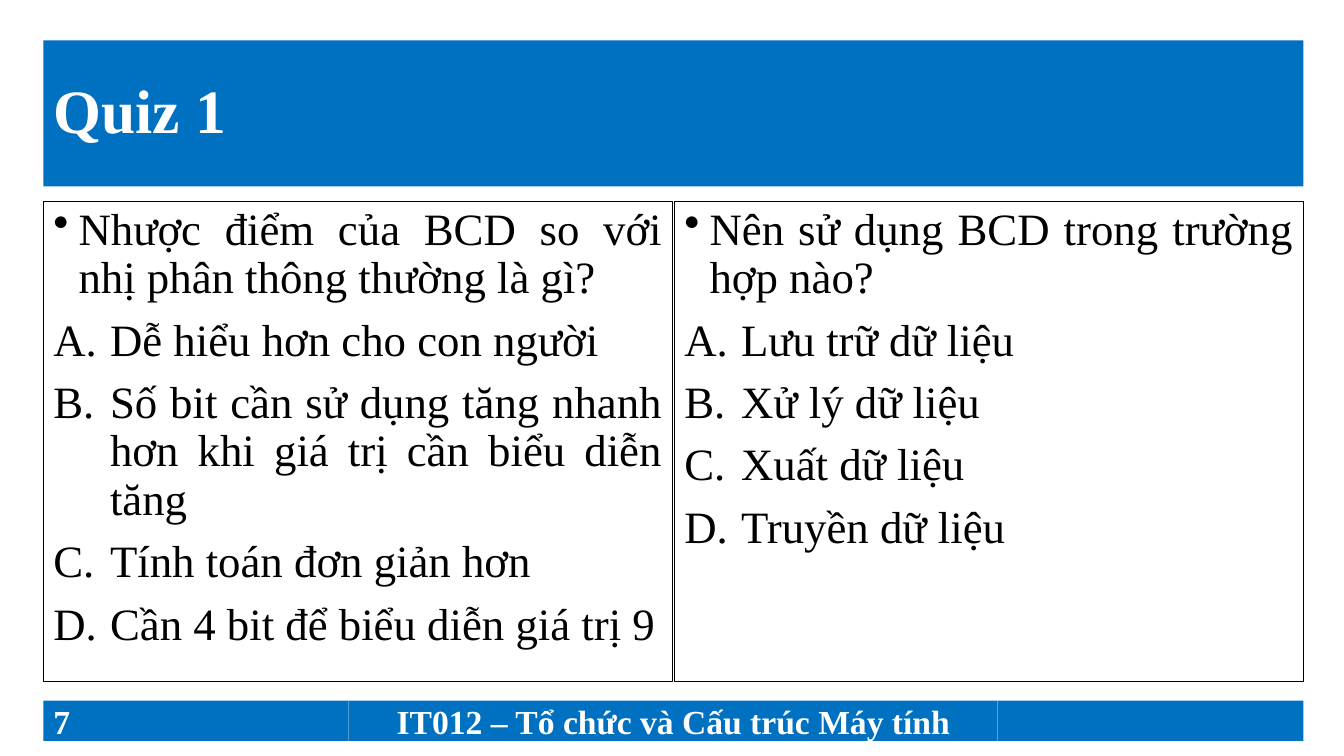
from dataclasses import dataclass

import pptx
import pptx.dml.color
import pptx.enum.shapes
import pptx.enum.text
import pptx.oxml
import pptx.oxml.ns
import pptx.util
from pptx.util import Pt

Align = pptx.enum.text.PP_ALIGN
Anchor = pptx.enum.text.MSO_ANCHOR


@dataclass(frozen=True)
class Theme:
    font: str = "Times New Roman"
    blue: str = "0070C0"
    white: str = "FFFFFF"
    black: str = "000000"
    title_size: float = 44
    question_size: float = 32
    footer_size: float = 24


@dataclass(frozen=True)
class Box:
    left: float
    top: float
    width: float
    height: float


@dataclass(frozen=True)
class Bar:
    box: Box
    text: str = ""
    size: float = Theme.footer_size
    align: Align = Align.LEFT


@dataclass(frozen=True)
class Question:
    box: Box
    prompt: str
    answers: tuple[str, ...]


THEME = Theme()
LEFT, WIDTH = 31, 900
PANEL_TOP, PANEL_HEIGHT, PANEL_GAP = 144, 342.7, 1.5
PANEL_WIDTH = (WIDTH - PANEL_GAP) / 2
FOOTER_TOP, FOOTER_HEIGHT, FOOTER_SIDE, FOOTER_GAP = 500.4, 28.8, 218, 0.3
FOOTER_MIDDLE = WIDTH - 2 * (FOOTER_SIDE + FOOTER_GAP)


def footer_box(left: float, width: float) -> Box:
    return Box(left, FOOTER_TOP, width, FOOTER_HEIGHT)


def panel_box(column: int) -> Box:
    left = LEFT + column * (PANEL_WIDTH + PANEL_GAP)
    return Box(left, PANEL_TOP, PANEL_WIDTH, PANEL_HEIGHT)


BARS = (
    Bar(Box(LEFT, 28.8, WIDTH, 104.4), "Quiz 1", THEME.title_size),
    Bar(footer_box(LEFT, FOOTER_SIDE), "7"),
    Bar(
        footer_box(LEFT + FOOTER_SIDE + FOOTER_GAP, FOOTER_MIDDLE),
        "IT012 – Tổ chức và Cấu trúc Máy tính",
        align=Align.CENTER,
    ),
    Bar(footer_box(LEFT + WIDTH - FOOTER_SIDE, FOOTER_SIDE)),
)

QUESTIONS = (
    Question(
        panel_box(0),
        "Nhược điểm của BCD so với nhị phân thông thường là gì?",
        (
            "Dễ hiểu hơn cho con người",
            "Số bit cần sử dụng tăng nhanh hơn khi giá trị cần biểu diễn tăng",
            "Tính toán đơn giản hơn",
            "Cần 4 bit để biểu diễn giá trị 9",
        ),
    ),
    Question(
        panel_box(1),
        "Nên sử dụng BCD trong trường hợp nào?",
        ("Lưu trữ dữ liệu", "Xử lý dữ liệu", "Xuất dữ liệu", "Truyền dữ liệu"),
    ),
)


def rgb(color: str) -> pptx.dml.color.RGBColor:
    return pptx.dml.color.RGBColor.from_string(color)


def add_rectangle(slide, box: Box, anchor: Anchor):
    shape = slide.shapes.add_shape(
        pptx.enum.shapes.MSO_SHAPE.RECTANGLE,
        Pt(box.left), Pt(box.top), Pt(box.width), Pt(box.height),
    )
    shape.shadow.inherit = False
    shape.text_frame.word_wrap = True
    shape.text_frame.vertical_anchor = anchor
    return shape


def set_bullet(paragraph, tag: str, attribute: str, value: str, indent: float) -> None:
    """Give the paragraph a hanging indent and a bullet or automatic letter."""
    properties = paragraph._p.get_or_add_pPr()
    properties.set("marL", str(Pt(indent)))
    properties.set("indent", str(-Pt(indent)))
    bullet = pptx.oxml.parse_xml(f"<{tag} {pptx.oxml.ns.nsdecls('a')}/>")
    bullet.set(attribute, value)
    properties.append(bullet)


def write_text(paragraph, text: str, *, size: float, color: str, align: Align,
               bold: bool = False, line_spacing: float = 0.9,
               space_before: float = 0) -> None:
    paragraph.alignment = align
    paragraph.line_spacing = line_spacing
    paragraph.space_before = Pt(space_before)
    run = paragraph.add_run()
    run.text = text
    run.font.name = THEME.font
    run.font.size = Pt(size)
    run.font.bold = bold
    run.font.color.rgb = rgb(color)


def draw_bar(slide, bar: Bar) -> None:
    shape = add_rectangle(slide, bar.box, Anchor.MIDDLE)
    shape.fill.solid()
    shape.fill.fore_color.rgb = rgb(THEME.blue)
    shape.line.fill.background()
    if bar.text:
        spacing = 0.9 if bar.size == THEME.title_size else 1.0
        write_text(shape.text_frame.paragraphs[0], bar.text, size=bar.size,
                   color=THEME.white, align=bar.align, bold=True,
                   line_spacing=spacing)


def draw_question(slide, question: Question) -> None:
    shape = add_rectangle(slide, question.box, Anchor.TOP)
    shape.fill.background()
    shape.line.color.rgb = rgb(THEME.black)
    shape.line.width = Pt(0.75)
    frame = shape.text_frame
    prompt = frame.paragraphs[0]
    set_bullet(prompt, "a:buChar", "char", "•", 18)
    write_text(prompt, question.prompt, size=THEME.question_size,
               color=THEME.black, align=Align.JUSTIFY)
    for answer in question.answers:
        paragraph = frame.add_paragraph()
        set_bullet(paragraph, "a:buAutoNum", "type", "alphaUcPeriod", 40.5)
        write_text(paragraph, answer, size=THEME.question_size,
                   color=THEME.black, align=Align.JUSTIFY, space_before=10)


def main() -> None:
    presentation = pptx.Presentation()
    presentation.slide_width = Pt(960)
    presentation.slide_height = Pt(540)
    slide = presentation.slides.add_slide(presentation.slide_layouts[6])
    for bar in BARS:
        draw_bar(slide, bar)
    for question in QUESTIONS:
        draw_question(slide, question)
    presentation.save("out.pptx")


if __name__ == "__main__":
    main()
